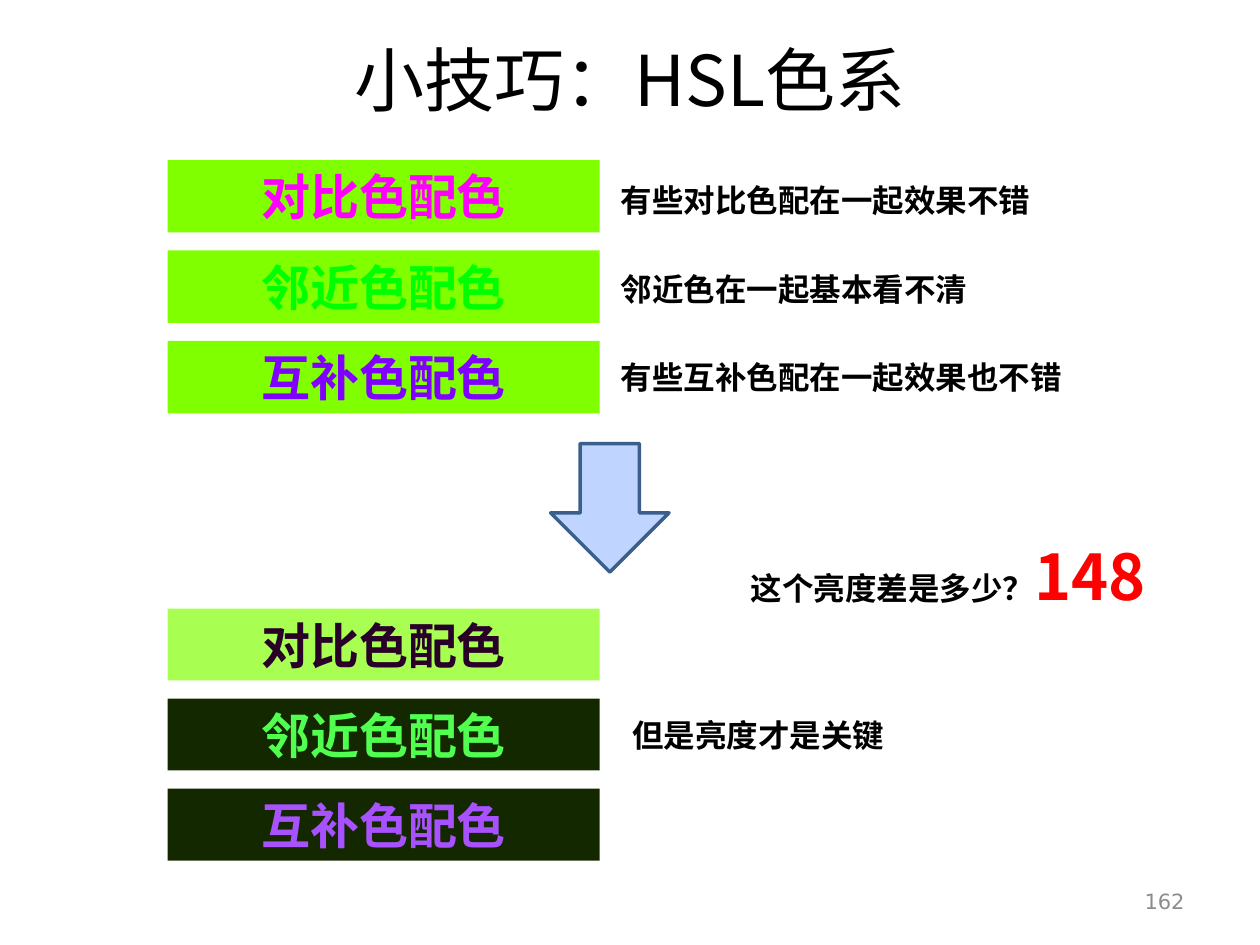
from lxml import etree
from pptx import Presentation
from pptx.dml.color import RGBColor
from pptx.enum.shapes import MSO_SHAPE
from pptx.enum.text import MSO_ANCHOR, PP_ALIGN
from pptx.oxml.ns import qn
from pptx.util import Inches, Pt

RECT, DOWN = MSO_SHAPE.RECTANGLE, MSO_SHAPE.DOWN_ARROW
MID = MSO_ANCHOR.MIDDLE
LEFT, MIDDLE, RIGHT = PP_ALIGN.LEFT, PP_ALIGN.CENTER, PP_ALIGN.RIGHT
SANS, HAN = "DejaVu Sans", "Noto Sans CJK SC"
WIDE, HIGH = 10, 7.5
COLORS = {
    "black": "000000", "gray": "8C8C8C", "red": "FF0000",
    "lime": "80FF00", "pink": "FF00FF", "green": "00FF00", "violet": "8000FF",
    "pale": "A8FF51", "dark": "142800", "plum": "280028",
    "mint": "51FF51", "lilac": "A851FF", "sky": "BFD4FF", "navy": "3A5F8C",
}
NAMES = ["对比色配色", "邻近色配色", "互补色配色"]


def tint(name):
    return RGBColor.from_string(COLORS[name])


def inches(box):
    return [Inches(part) for part in box]


def write(shape, runs, align=LEFT):
    """Fill a shape with one paragraph; a run is (text, size, colour, bold, font)."""
    frame = shape.text_frame
    frame.word_wrap = True
    frame.vertical_anchor = MID
    para = frame.paragraphs[0]
    para.alignment = align
    for text, size, color, bold, face in runs:
        run = para.add_run()
        run.text = text
        font = run.font
        font.size, font.bold, font.name = Pt(size), bold, face
        font.color.rgb = tint(color)
        east = etree.SubElement(font._element, qn("a:ea"))
        east.set("typeface", face)
    return para


def label(slide, box, runs, align=LEFT):
    return write(slide.shapes.add_textbox(*inches(box)), runs, align)


def block(slide, kind, box, fill, line=None):
    shape = slide.shapes.add_shape(kind, *inches(box))
    shape.shadow.inherit = False
    shape.fill.solid()
    shape.fill.fore_color.rgb = tint(fill)
    if line:
        shape.line.color.rgb = tint(line)
        shape.line.width = Pt(2)
    else:
        shape.line.fill.background()
    return shape


def bars(slide, box, pairs):
    """Stack one bar per (fill, text colour) pair, with gaps of a quarter bar."""
    left, top, width, height = box
    pitch = height / (len(pairs) - 0.2)
    for row, (name, (fill, ink)) in enumerate(zip(NAMES, pairs)):
        bar = block(slide, RECT, (left, top + row * pitch, width, pitch * 0.8), fill)
        write(bar, [(name, 28, ink, True, HAN)], MIDDLE)


def notes(slide, box, lines):
    """Spread the remarks over equal rows."""
    left, top, width, height = box
    pitch = height / len(lines)
    for row, text in enumerate(lines):
        label(slide, (left, top + row * pitch, width, 0.4),
              [(text, 18, "black", True, HAN)])


def main():
    deck = Presentation()
    deck.slide_width, deck.slide_height = Inches(WIDE), Inches(HIGH)
    slide = deck.slides.add_slide(deck.slide_layouts[6])

    # Title and page number
    label(slide, (WIDE * 0.05, 0, WIDE * 0.9, HIGH / 6),
          [("小技巧：HSL色系", 40, "black", False, HAN)], MIDDLE)
    label(slide, (7.17, 6.95, 2.33, 0.4),
          [("162", 12, "gray", False, SANS)], RIGHT)

    # Hue pairs with remarks
    bars(slide, (1.33, 1.27, 3.43, 2.01),
         [("lime", "pink"), ("lime", "green"), ("lime", "violet")])
    notes(slide, (4.83, 1.39, 4.21, 2.1),
          ["有些对比色配在一起效果不错", "邻近色在一起基本看不清",
           "有些互补色配在一起效果也不错"])

    # Arrow to the lightness pairs
    block(slide, DOWN, (4.37, 3.52, 0.94, 1.02), "sky", "navy")
    bars(slide, (1.33, 4.83, 3.43, 2),
         [("pale", "plum"), ("dark", "mint"), ("dark", "lilac")])
    notes(slide, (4.92, 5.63, 2.68, 0.4), ["但是亮度才是关键"])

    # Question and answer
    para = label(slide, (5.86, 3.91, 3.43, 1.01),
                 [("这个亮度差是多少？", 18, "black", True, HAN),
                  ("148", 36, "red", True, HAN)])
    para.line_spacing = 1.5
    para.space_after = Pt(6)

    deck.save("out.pptx")


if __name__ == "__main__":
    main()
